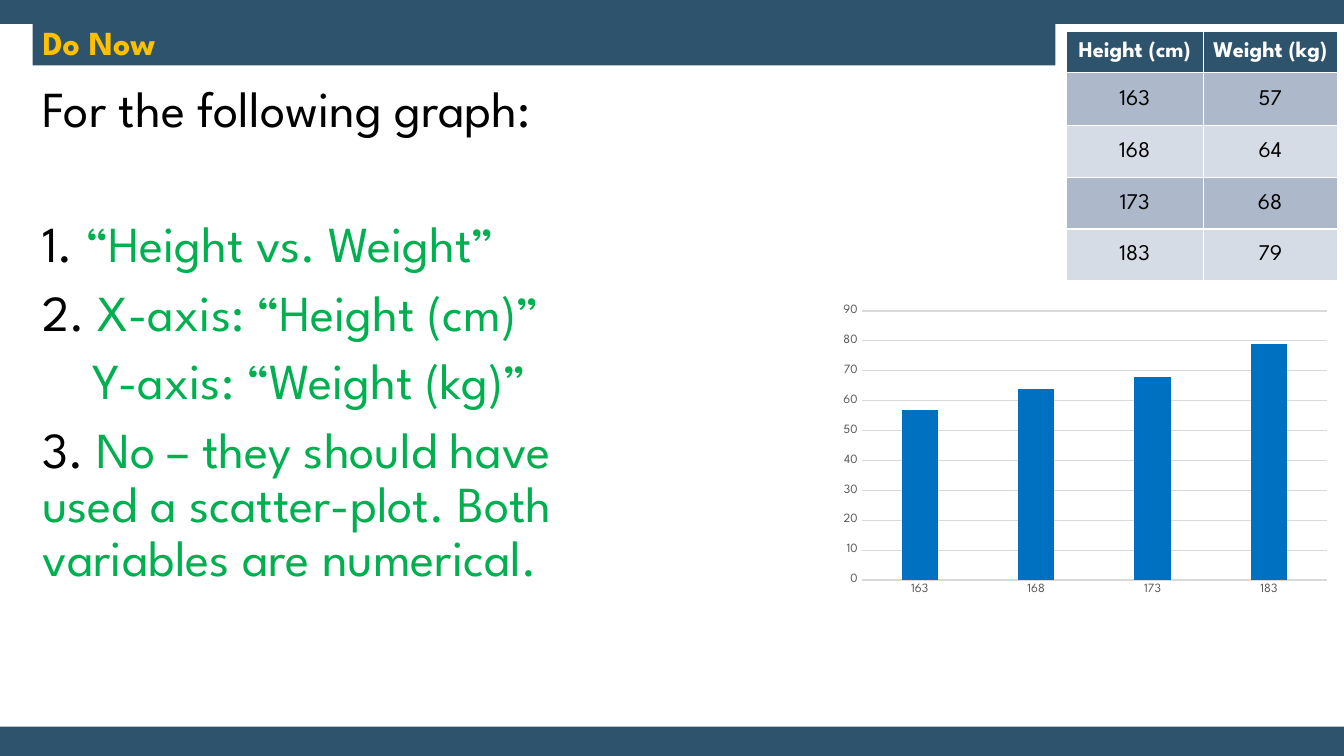
from lxml import etree
from pptx import Presentation
from pptx.chart.data import CategoryChartData
from pptx.dml.color import RGBColor
from pptx.enum.chart import XL_CHART_TYPE, XL_TICK_MARK
from pptx.enum.shapes import MSO_SHAPE
from pptx.enum.text import MSO_ANCHOR, MSO_AUTO_SIZE, PP_ALIGN
from pptx.oxml.ns import qn
from pptx.util import Cm, Pt

COLUMN = XL_CHART_TYPE.COLUMN_CLUSTERED
NO_TICK = XL_TICK_MARK.NONE
RECT = MSO_SHAPE.RECTANGLE
MIDDLE = MSO_ANCHOR.MIDDLE
NO_FIT = MSO_AUTO_SIZE.NONE
LEFT, CENTER = PP_ALIGN.LEFT, PP_ALIGN.CENTER

FACE = "League Spartan"
NAVY, WHITE, BLACK, GREEN = "2E546D", "FFFFFF", "000000", "00B050"
GOLD, BLUE, GRAY, PALE = "FFC000", "0070C0", "595959", "D9D9D9"
BANDS = ["ADB9CA", "D6DCE5"]


def paint(part, color):
    """Give a fill or line format a solid colour."""
    part.solid()
    part.fore_color.rgb = RGBColor.from_string(color)


def style(font, size, color, bold=False):
    look = {"name": FACE, "size": Pt(size), "bold": bold}
    for key, value in look.items():
        setattr(font, key, value)
    paint(font.fill, color)


deck = Presentation()
deck.slide_width, deck.slide_height = Cm(33.87), Cm(19.05)
slide = deck.slides.add_slide(deck.slide_layouts[5])
shapes = slide.shapes

# Navy frame with a white panel
for top, height, color in [(0, 19.05, NAVY), (0.61, 17.7, WHITE)]:
    panel = shapes.add_shape(RECT, 0, Cm(top), deck.slide_width, Cm(height))
    panel.shadow.inherit = False
    paint(panel.fill, color)
    panel.line.fill.background()

# Title bar, brought in front of the panel
title = shapes.title
shapes.element.append(title.element)
place = {"left": 0.82, "top": 0.61, "width": 25.78, "height": 1.04}
for key, value in place.items():
    setattr(title, key, Cm(value))
paint(title.fill, NAVY)
frame = title.text_frame
frame.text = "Do Now"
frame.auto_size = NO_FIT
frame.vertical_anchor = MIDDLE
head = frame.paragraphs[0]
head.alignment = LEFT
head.line_spacing = 0.9
style(head.runs[0].font, 24, GOLD, True)

# Answers: number, answer, space before, left indent
answers = [
    ("For the following graph:", "", 0, 0),
    ("1. ", "“Height vs. Weight”", 58, 0),
    ("2. ", "X-axis: “Height (cm)”", 10, 0),
    ("", "Y-axis: “Weight (kg)”", 10, 1.27),
    ("3. ", "No – they should have used a scatter-plot. "
     "Both variables are numerical.", 10, 0),
]
box = shapes.add_textbox(Cm(0.82), Cm(1.98), Cm(13.7), Cm(13))
frame = box.text_frame
frame.word_wrap = True
for i, (label, answer, gap, indent) in enumerate(answers):
    para = frame.add_paragraph() if i else frame.paragraphs[0]
    para.line_spacing = 0.9
    para.space_before = Pt(gap)
    if indent:
        para._p.get_or_add_pPr().set("marL", str(Cm(indent)))
    for text, color in [(label, BLACK), (answer, GREEN)]:
        if text:
            run = para.add_run()
            run.text = text
            style(run.font, 36, color)

# Data table
heights = ["163", "168", "173", "183"]
weights = [57, 64, 68, 79]
rows = [("Height (cm)", "Weight (kg)"), *zip(heights, weights)]
table = shapes.add_table(len(rows), 2, Cm(26.87), Cm(0.79),
                         Cm(6.83), Cm(6.25)).table
for col, width in zip(table.columns, [3.45, 3.38]):
    col.width = Cm(width)
for row, height in zip(table.rows, [1.04, 1.34, 1.3, 1.3, 1.3]):
    row.height = Cm(height)
for r, row in enumerate(rows):
    for c, text in enumerate(row):
        cell = table.cell(r, c)
        form = {"text": str(text), "vertical_anchor": MIDDLE,
                "margin_left": Cm(0.03), "margin_right": Cm(0.03),
                "margin_top": Cm(0.03), "margin_bottom": 0}
        for key, value in form.items():
            setattr(cell, key, value)
        para = cell.text_frame.paragraphs[0]
        para.alignment = CENTER
        style(para.runs[0].font, 16, BLACK if r else WHITE, r == 0)
        # White borders come before the fill in the cell's XML
        props = cell._tc.get_or_add_tcPr()
        for side in ["lnL", "lnR", "lnT", "lnB"]:
            edge = etree.SubElement(props, qn("a:" + side), w=str(Pt(1)))
            fill = etree.SubElement(edge, qn("a:solidFill"))
            etree.SubElement(fill, qn("a:srgbClr"), val=WHITE)
        paint(cell.fill, BANDS[(r - 1) % 2] if r else NAVY)

# Column chart
data = CategoryChartData()
data.categories = heights
data.add_series("Weight (kg)", weights)
chart = shapes.add_chart(COLUMN, Cm(21), Cm(7.54), Cm(12.7), Cm(7.62),
                         data).chart
chart.has_legend = chart.has_title = False
style(chart.font, 10, BLACK)
plot = chart.plots[0]
form = {"gap_width": 219, "overlap": -27, "vary_by_categories": False}
for key, value in form.items():
    setattr(plot, key, value)
paint(plot.series[0].format.fill, BLUE)

base, scale = chart.category_axis, chart.value_axis
for axis in [base, scale]:
    axis.major_tick_mark = axis.minor_tick_mark = NO_TICK
    style(axis.tick_labels.font, 9, GRAY)
form = {"minimum_scale": 0, "maximum_scale": 90, "major_unit": 10,
        "has_major_gridlines": True}
for key, value in form.items():
    setattr(scale, key, value)
scale.tick_labels.number_format = "0"
scale.tick_labels.number_format_is_linked = False
scale.format.line.fill.background()
for line in [base.format.line, scale.major_gridlines.format.line]:
    paint(line.fill, PALE)
    line.width = Pt(0.75)

deck.save("out.pptx")
